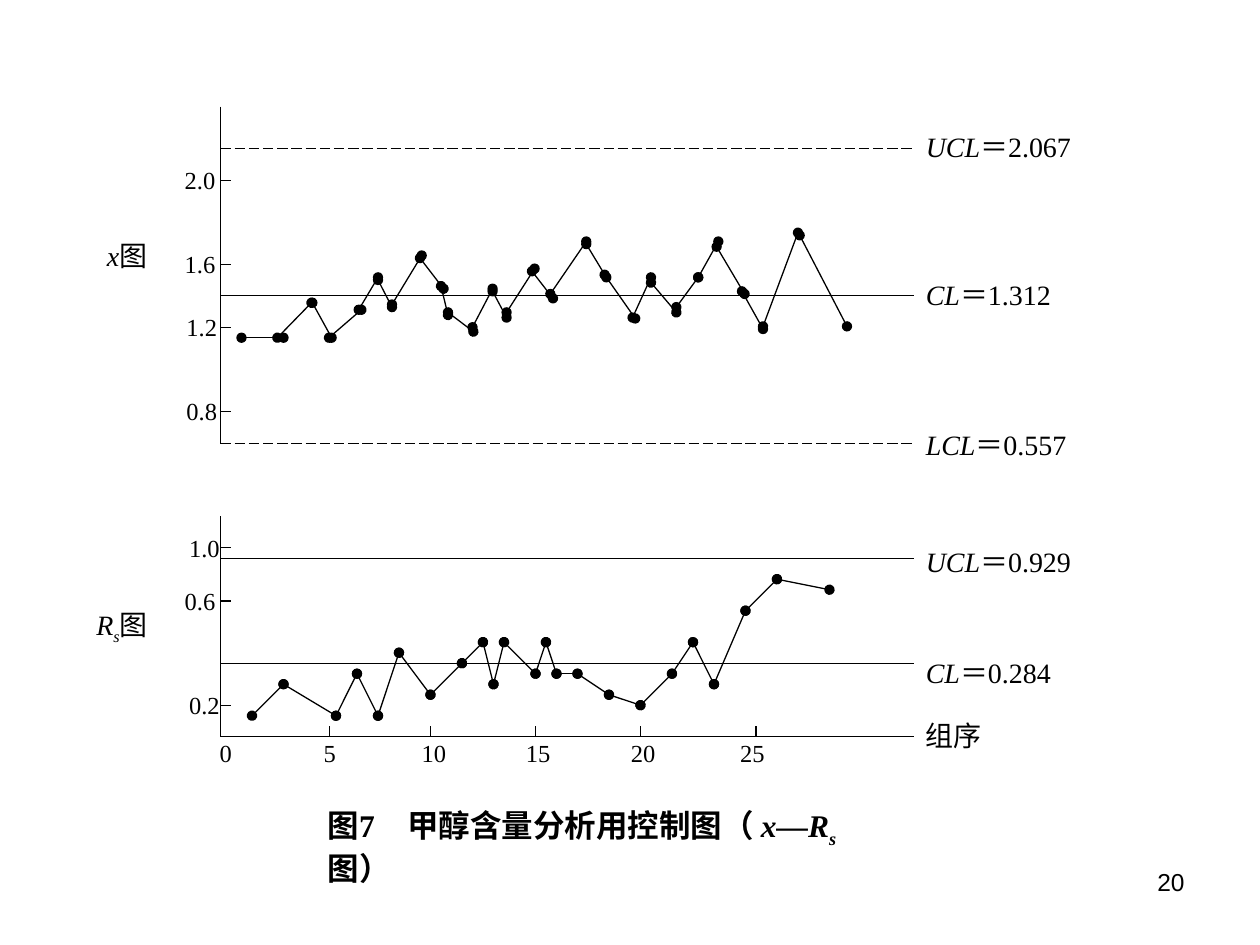
from itertools import pairwise

from lxml.etree import SubElement
from pptx import Presentation
from pptx.dml.color import RGBColor
from pptx.enum.dml import MSO_LINE
from pptx.enum.shapes import MSO_CONNECTOR
from pptx.enum.text import MSO_ANCHOR, MSO_AUTO_SIZE, PP_ALIGN
from pptx.oxml.ns import qn
from pptx.util import Pt

BLACK = RGBColor(0x00, 0x00, 0x00)
SERIF = "Times New Roman"
SANS = "Arial"
AXIS_LEFT, AXIS_RIGHT = 126, 522
TICK = 6

# Each chart: axis top and bottom, value ticks (text, y, label left),
# control lines (name, value, y, label top, dashed)
X_CHART = {
    "axis": (61, 253.5),
    "ticks": [("2.0", 103, 98.5), ("1.6", 151, 98.5),
              ("1.2", 187, 99.5), ("0.8", 235, 99.5)],
    "limits": [("UCL", "2.067", 85, 70.5, True),
               ("CL", "1.312", 169, 155, False),
               ("LCL", "0.557", 253.5, 241, True)],
}
R_CHART = {
    "axis": (295, 421),
    "ticks": [("1.0", 313, 101), ("0.6", 343.5, 98.5), ("0.2", 403, 101)],
    "limits": [("UCL", "0.929", 319, 307.5, False),
               ("CL", "0.284", 379, 371, False)],
}
GROUP_TICKS = [("5", 188.5, 188.5), ("10", 246, 248), ("15", 306, 307.5),
               ("20", 366, 367.5), ("25", 432, 430)]

# Neighbouring segments of the x chart do not quite meet, so both ends are given
X_SEGMENTS = [
    ((138, 193), (162, 193)), ((158.5, 193), (178, 173)),
    ((178.5, 173), (189.5, 193)), ((188, 193), (206.5, 177)),
    ((205, 177), (216, 158.5)), ((216, 160), (224, 175.5)),
    ((224, 174), (241, 146)), ((240, 147.5), (253.5, 165)),
    ((252, 163.5), (256, 180)), ((256, 178.5), (270.5, 189.5)),
    ((270, 187), (281.5, 165)), ((281.5, 166.5), (289.5, 181.5)),
    ((289.5, 178.5), (305.5, 153.5)), ((304, 155), (316, 170.5)),
    ((314.5, 168), (335, 138)), ((335, 139.5), (346.5, 158.5)),
    ((345.5, 157), (363, 182)), ((361.5, 181.5), (372, 158.5)),
    ((372, 161.5), (386.5, 178.5)), ((386.5, 175.5), (399, 158.5)),
    ((399, 158.5), (410.5, 138)), ((409.5, 141), (425.5, 168)),
    ((424, 166.5), (436, 188)), ((436, 186.5), (456, 133)),
    ((457, 134.5), (484, 186.5)),
]
R_POINTS = [
    (144, 409), (162, 391), (192, 409), (204, 385), (216, 409), (228, 373),
    (246, 397), (264, 379), (276, 367), (282, 391), (288, 367), (306, 385),
    (312, 367), (318, 385), (330, 385), (348, 397), (366, 403), (384, 385),
    (396, 367), (408, 391), (426, 349), (444, 331), (474, 337),
]


def add_line(page, start, end, dashed=False, dots=False):
    connector = page.shapes.add_connector(
        MSO_CONNECTOR.STRAIGHT, *(Pt(value) for value in (*start, *end)))
    connector.line.color.rgb = BLACK
    connector.line.width = Pt(0.75)
    if dashed:
        connector.line.dash_style = MSO_LINE.LONG_DASH
    if dots:
        outline = connector.line._get_or_add_ln()
        for tag in ("a:headEnd", "a:tailEnd"):
            SubElement(outline, qn(tag), type="oval")
    SubElement(connector._element.spPr, qn("a:effectLst"))


def write_spans(paragraph, spans, **common):
    """Add (text, format) spans; the key baseline lowers a subscript."""
    for text, style in spans:
        span = paragraph.add_run()
        span.text = text
        span.font.color.rgb = BLACK
        for name, value in {"name": SERIF, **common, **style}.items():
            if name == "baseline":
                span.font._element.set("baseline", str(value))
            else:
                setattr(span.font, name, value)


def add_label(page, place, spans, size, align=PP_ALIGN.LEFT):
    box = page.shapes.add_textbox(*(Pt(value) for value in place))
    box.text_frame.word_wrap = True
    paragraph = box.text_frame.paragraphs[0]
    paragraph.alignment = align
    write_spans(paragraph, spans, size=Pt(size))


def add_caption(page):
    title = page.shapes.title
    place = {"left": 180, "top": 457, "width": 332, "height": 53.5}
    for name, value in place.items():
        setattr(title, name, Pt(value))
    frame = title.text_frame
    frame.word_wrap = True
    frame.auto_size = MSO_AUTO_SIZE.NONE
    frame.vertical_anchor = MSO_ANCHOR.TOP
    paragraph = frame.paragraphs[0]
    paragraph.alignment = PP_ALIGN.LEFT
    tabs = SubElement(paragraph._p.get_or_add_pPr(), qn("a:tabLst"))
    SubElement(tabs, qn("a:tab"), pos=str(Pt(45.5)), algn="l")
    write_spans(paragraph, [
        ("图7\t甲醇含量分析用控制图（ ", {}),
        ("x—R", {"italic": True}),
        ("s", {"italic": True, "baseline": -25000}),
        ("图）", {}),
    ], size=Pt(18), bold=True)


def add_frame(page, chart):
    """Draw the value axis, its ticks and the control lines of one chart."""
    top, bottom = chart["axis"]
    add_line(page, (AXIS_LEFT, top), (AXIS_LEFT, bottom))
    for text, y, left in chart["ticks"]:
        add_line(page, (AXIS_LEFT, y), (AXIS_LEFT + TICK, y))
        add_label(page, (left, y - 12, 36, 24.5), [(text, {})], 14)
    for name, value, y, label_top, dashed in chart["limits"]:
        add_line(page, (AXIS_LEFT, y), (AXIS_RIGHT, y), dashed=dashed)
        add_label(page, (AXIS_RIGHT, label_top, 108, 26.5),
                  [(name, {"italic": True}), (f"＝{value}", {})], 16)


def add_group_axis(page):
    y = R_CHART["axis"][1]
    add_line(page, (AXIS_LEFT, y), (AXIS_RIGHT, y))
    for _, x, _ in GROUP_TICKS:
        add_line(page, (x, y - TICK), (x, y))
    for text, _, middle in [("0", AXIS_LEFT, 129), *GROUP_TICKS]:
        add_label(page, (middle - 18, 418, 36, 24.5), [(text, {})], 14,
                  PP_ALIGN.CENTER)
    add_label(page, (AXIS_RIGHT, 407, 102, 26.5), [("组序", {})], 16)


def main():
    deck = Presentation()
    deck.slide_width, deck.slide_height = Pt(720), Pt(540)
    page = deck.slides.add_slide(deck.slide_layouts[5])

    for chart in (X_CHART, R_CHART):
        add_frame(page, chart)
    add_group_axis(page)
    for start, end in [*X_SEGMENTS, *pairwise(R_POINTS)]:
        add_line(page, start, end, dots=True)

    add_label(page, (54, 133, 54, 26.5),
              [("x", {"italic": True}), ("图", {})], 16)
    add_label(page, (48, 343.5, 54, 29.5),
              [("R", {"italic": True}),
               ("s", {"italic": True, "baseline": -25000}), ("图", {})], 16)
    add_caption(page)
    add_label(page, (516, 492, 168, 37.5), [("20", {"name": SANS})], 14,
              PP_ALIGN.RIGHT)
    deck.save("out.pptx")


if __name__ == "__main__":
    main()
